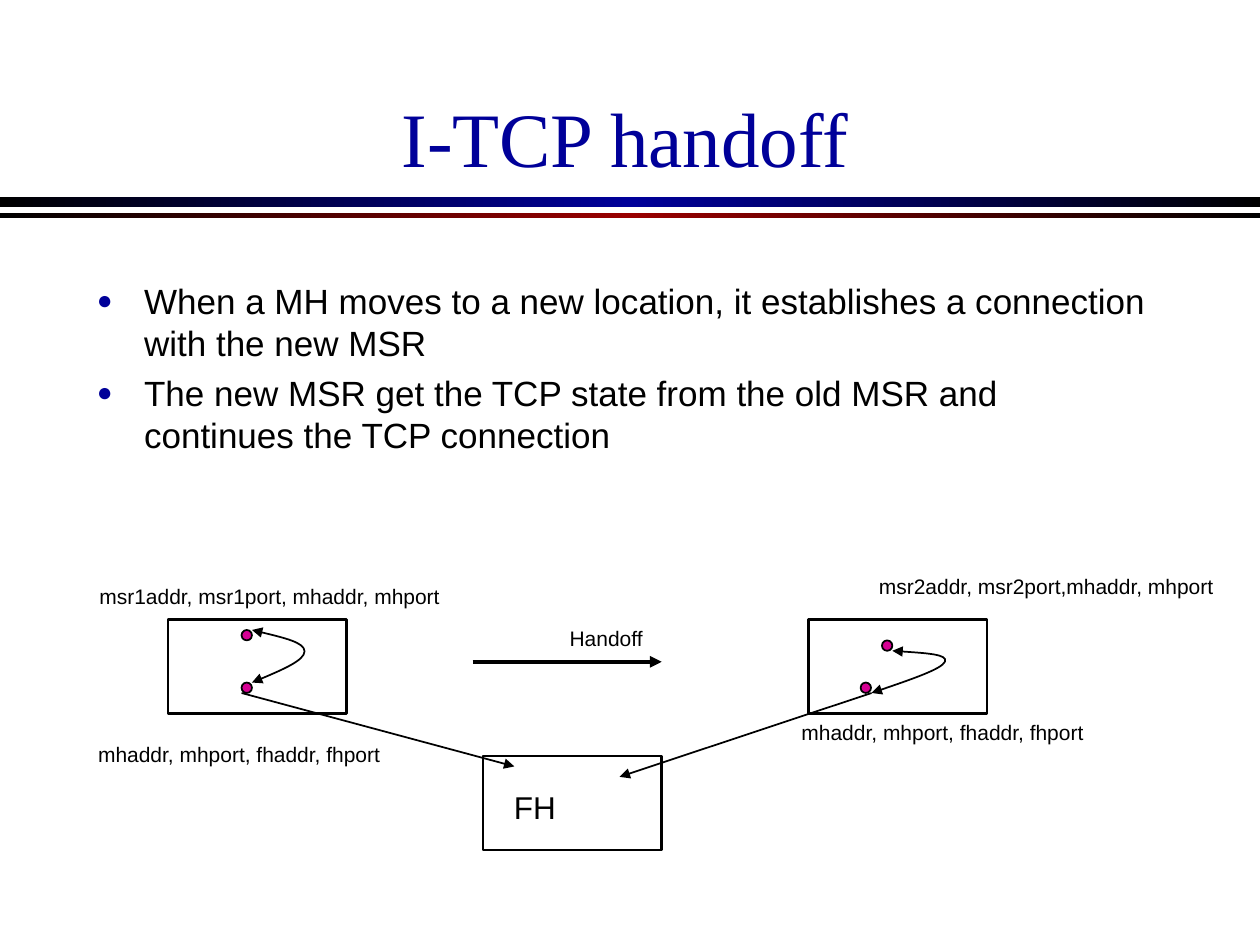
import copy

import pptx
import pptx.dml.color
import pptx.enum.shapes
import pptx.enum.text
import pptx.oxml
import pptx.oxml.ns
import pptx.util
from lxml import etree

Cm = pptx.util.Cm
Pt = pptx.util.Pt
qn = pptx.oxml.ns.qn
SHAPES = pptx.enum.shapes.MSO_SHAPE
ALIGN = pptx.enum.text.PP_ALIGN
ANCHOR = pptx.enum.text.MSO_ANCHOR

BLACK = pptx.dml.color.RGBColor(0x00, 0x00, 0x00)
NAVY = pptx.dml.color.RGBColor(0x00, 0x00, 0x99)
RED = pptx.dml.color.RGBColor(0x99, 0x00, 0x00)
MAGENTA = pptx.dml.color.RGBColor(0xD6, 0x00, 0x93)


def write_text(frame, text, font="Arial", size=12, color=BLACK, align=ALIGN.CENTER,
               anchor=ANCHOR.TOP, wrap=False, bullet=None, gap=0):
    """Fill a text frame, one paragraph for each line of text."""
    frame.auto_size = pptx.enum.text.MSO_AUTO_SIZE.NONE
    frame.word_wrap = wrap
    frame.vertical_anchor = anchor
    for number, line in enumerate(text.split("\n")):
        paragraph = frame.add_paragraph() if number else frame.paragraphs[0]
        if bullet:
            properties = paragraph._p.get_or_add_pPr()
            properties.set("marL", str(Cm(0.95)))
            properties.set("indent", str(-Cm(0.95)))
            bullet_color = etree.SubElement(properties, qn("a:buClr"))
            etree.SubElement(bullet_color, qn("a:srgbClr"), val=str(NAVY))
            etree.SubElement(properties, qn("a:buSzPct"), val="75000")
            etree.SubElement(properties, qn("a:buChar"), char=bullet)
        paragraph.alignment = align
        paragraph.space_before = Pt(gap if number else 0)
        run = paragraph.add_run()
        run.text = line
        run.font.name = font
        run.font.size = Pt(size)
        run.font.color.rgb = color


def draw_line(shape, width, *arrow_ends):
    """Give a shape or connector a black line, no shadow and arrowheads."""
    shape.line.color.rgb = BLACK
    shape.line.width = Pt(width)
    for end in arrow_ends:
        etree.SubElement(shape.line._get_or_add_ln(), qn(end), type="triangle")
    etree.SubElement(shape._element.spPr, qn("a:effectLst"))


presentation = pptx.Presentation()
presentation.slide_width, presentation.slide_height = Cm(25.4), Cm(19.05)
slide = presentation.slides.add_slide(presentation.slide_layouts[1])

# Title and bullet list
title, points = slide.placeholders
title.left, title.top, title.width, title.height = Cm(1.7), Cm(0.64), Cm(21.8), Cm(3.18)
write_text(title.text_frame, "I-TCP handoff", font="Times New Roman", size=44,
           color=NAVY, anchor=ANCHOR.BOTTOM, wrap=True)
points.left, points.top, points.width, points.height = Cm(1.7), Cm(5.5), Cm(21.8), Cm(5.5)
write_text(points.text_frame,
           "When a MH moves to a new location, it establishes a connection with the new MSR\n"
           "The new MSR get the TCP state from the old MSR and continues the TCP connection",
           size=20, align=ALIGN.LEFT, wrap=True, bullet="●", gap=5)

# Gradient bands under the title
for top, height, middle in [(3.97, 0.21, NAVY), (4.29, 0.11, RED)]:
    band = slide.shapes.add_shape(SHAPES.RECTANGLE, 0, Cm(top),
                                  presentation.slide_width, Cm(height))
    band.shadow.inherit = False
    band.line.fill.background()
    band.fill.gradient()
    band.fill.gradient_angle = 0
    stop_list = band._element.spPr.find(".//" + qn("a:gsLst"))
    stop_list.append(copy.deepcopy(stop_list[-1]))
    for stop, position, color in zip(band.fill.gradient_stops, (0, 0.5, 1),
                                     (BLACK, middle, BLACK)):
        stop.position = position
        stop.color.rgb = color

# Old MSR, new MSR and fixed host
for left, top in [(3.39, 12.49), (16.3, 12.49), (9.74, 15.24)]:
    host = slide.shapes.add_shape(SHAPES.RECTANGLE, Cm(left), Cm(top), Cm(3.6), Cm(1.9))
    host.fill.background()
    draw_line(host, 1.5)

# Sockets inside the two MSRs
for left, top in [(17.78, 12.91), (4.87, 12.7), (4.87, 13.76), (17.35, 13.76)]:
    socket = slide.shapes.add_shape(SHAPES.OVAL, Cm(left), Cm(top), Cm(0.21), Cm(0.21))
    socket.fill.solid()
    socket.fill.fore_color.rgb = MAGENTA
    draw_line(socket, 1)

# Labels
for text, left, top, width, height, size in [
    ("FH", 10.11, 15.77, 1.35, 1.02, 18),
    ("mhaddr, mhport, fhaddr, fhport", 1.7, 14.82, 6.25, 0.76, 12),
    ("msr1addr, msr1port, mhaddr, mhport", 1.73, 11.64, 7.42, 0.76, 12),
    ("mhaddr, mhport, fhaddr, fhport", 15.88, 14.39, 6.25, 0.76, 12),
    ("msr2addr, msr2port,mhaddr, mhport", 17.45, 11.43, 7.29, 0.76, 12),
    ("Handoff", 11.23, 12.49, 1.98, 0.76, 12),
]:
    label = slide.shapes.add_textbox(Cm(left), Cm(top), Cm(width), Cm(height))
    write_text(label.text_frame, text, size=size)

# Connections to the fixed host, and the handoff arrow
for x1, y1, x2, y2, width in [
    (4.87, 13.97, 10.37, 15.45, 1),
    (17.57, 13.97, 12.49, 15.66, 1),
    (9.53, 13.34, 13.34, 13.34, 2.25),
]:
    arrow = slide.shapes.add_connector(pptx.enum.shapes.MSO_CONNECTOR.STRAIGHT,
                                       Cm(x1), Cm(y1), Cm(x2), Cm(y2))
    draw_line(arrow, width, "a:tailEnd")

# Curved links between sockets: a start, then three Bezier points per curve
for start, *controls in [
    [(5.08, 12.7), (5.61, 12.83), (6.14, 12.95), (6.14, 13.13),
     (6.14, 13.31), (5.61, 13.54), (5.08, 13.76)],
    [(17.99, 13.12), (18.56, 13.16), (19.12, 13.19), (19.05, 13.34),
     (18.98, 13.49), (18.27, 13.73), (17.57, 13.97)],
]:
    outline = slide.shapes.build_freeform(Cm(start[0]), Cm(start[1]))
    outline.add_line_segments([(Cm(x), Cm(y)) for x, y in controls], close=False)
    link = outline.convert_to_shape()
    link.fill.background()
    curve_path = link._element.spPr.find(".//" + qn("a:path"))
    segments = curve_path.findall(qn("a:lnTo"))
    for first in range(0, len(segments), 3):
        curve = etree.SubElement(curve_path, qn("a:cubicBezTo"))
        for segment in segments[first:first + 3]:
            curve.append(segment[0])
            curve_path.remove(segment)
    draw_line(link, 1, "a:headEnd", "a:tailEnd")

presentation.save("out.pptx")
